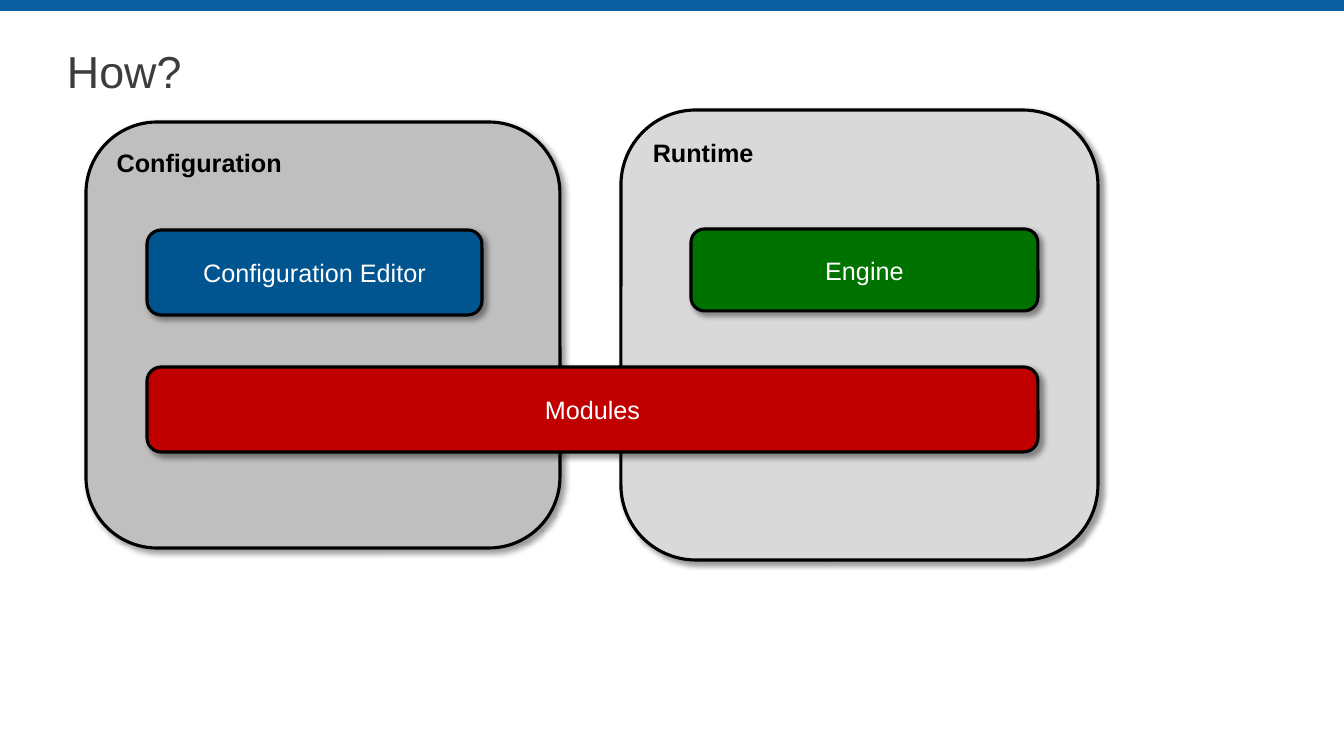
from dataclasses import dataclass

from lxml.etree import SubElement
from pptx import Presentation
from pptx.dml.color import RGBColor
from pptx.enum.shapes import MSO_SHAPE as Preset
from pptx.enum.text import MSO_ANCHOR as Anchor, PP_ALIGN as Align
from pptx.oxml.ns import qn
from pptx.shapes.autoshape import Shape
from pptx.slide import Slide
from pptx.text.text import TextFrame
from pptx.util import Pt

SLIDE_WIDTH, SLIDE_HEIGHT = 1344, 756
EMU_PER_PX = 12192000 / SLIDE_WIDTH
FONT = "Arial"
BLACK, WHITE = "000000", "FFFFFF"


@dataclass(frozen=True)
class Box:
    left: int
    top: int
    width: int
    height: int


@dataclass(frozen=True)
class Block:
    label: str
    box: Box
    fill: str
    is_phase: bool = False


BLOCKS = [
    Block("Configuration", Box(86, 122, 474, 426), "BFBFBF", is_phase=True),
    Block("Runtime", Box(621, 110, 477, 450), "D9D9D9", is_phase=True),
    Block("Engine", Box(691, 229, 347, 82), "007200"),
    Block("Configuration Editor", Box(147, 230, 335, 85), "005490"),
    Block("Modules", Box(147, 367, 891, 85), "C00000"),
]


def emu(px: int) -> int:
    return round(px * EMU_PER_PX)


def place(box: Box) -> tuple[int, int, int, int]:
    return emu(box.left), emu(box.top), emu(box.width), emu(box.height)


def color(value: str) -> RGBColor:
    return RGBColor.from_string(value)


def write(frame: TextFrame, text: str, size: int, ink: str,
          align: Align = Align.LEFT, bold: bool = False) -> None:
    frame.word_wrap = True
    paragraph = frame.paragraphs[0]
    paragraph.text = text
    paragraph.alignment = align
    paragraph.font.name = FONT
    paragraph.font.size = Pt(size)
    paragraph.font.bold = bold
    paragraph.font.color.rgb = color(ink)


def add_filled(slide: Slide, preset: Preset, box: Box, fill: str) -> Shape:
    shape = slide.shapes.add_shape(preset, *place(box))
    shape.shadow.inherit = False
    shape.fill.solid()
    shape.fill.fore_color.rgb = color(fill)
    return shape


def add_shadow(shape: Shape) -> None:
    effects = shape.element.spPr.find(qn("a:effectLst"))
    shadow = SubElement(effects, qn("a:outerShdw"), blurRad=str(Pt(4)), dist=str(Pt(3)),
                        dir=str(45 * 60000), algn="tl", rotWithShape="0")
    tint = SubElement(shadow, qn("a:srgbClr"), val=BLACK)
    SubElement(tint, qn("a:alpha"), val="40000")


def add_block(slide: Slide, block: Block) -> None:
    shape = add_filled(slide, Preset.ROUNDED_RECTANGLE, block.box, block.fill)
    shape.line.color.rgb = color(BLACK)
    shape.line.width = Pt(2.25)
    add_shadow(shape)
    frame = shape.text_frame
    if block.is_phase:
        frame.vertical_anchor = Anchor.TOP
        write(frame, block.label, 18, BLACK, bold=True)
    else:
        frame.vertical_anchor = Anchor.MIDDLE
        write(frame, block.label, 18, WHITE, Align.CENTER)


def add_heading(slide: Slide, text: str, box: Box) -> None:
    frame = slide.shapes.add_textbox(*place(box)).text_frame
    frame.margin_left = frame.margin_right = 0
    frame.vertical_anchor = Anchor.MIDDLE
    write(frame, text, 32, "3D3D3D")
    frame.paragraphs[0].line_spacing = 0.9


def main() -> None:
    deck = Presentation()
    deck.slide_width, deck.slide_height = emu(SLIDE_WIDTH), emu(SLIDE_HEIGHT)
    slide = deck.slides.add_slide(deck.slide_layouts[6])
    top_band = add_filled(slide, Preset.RECTANGLE, Box(0, 0, SLIDE_WIDTH, 11), "0A60A3")
    top_band.line.fill.background()
    add_heading(slide, "How?", Box(67, 40, 1210, 68))
    for block in BLOCKS:
        add_block(slide, block)
    deck.save("out.pptx")


if __name__ == "__main__":
    main()
